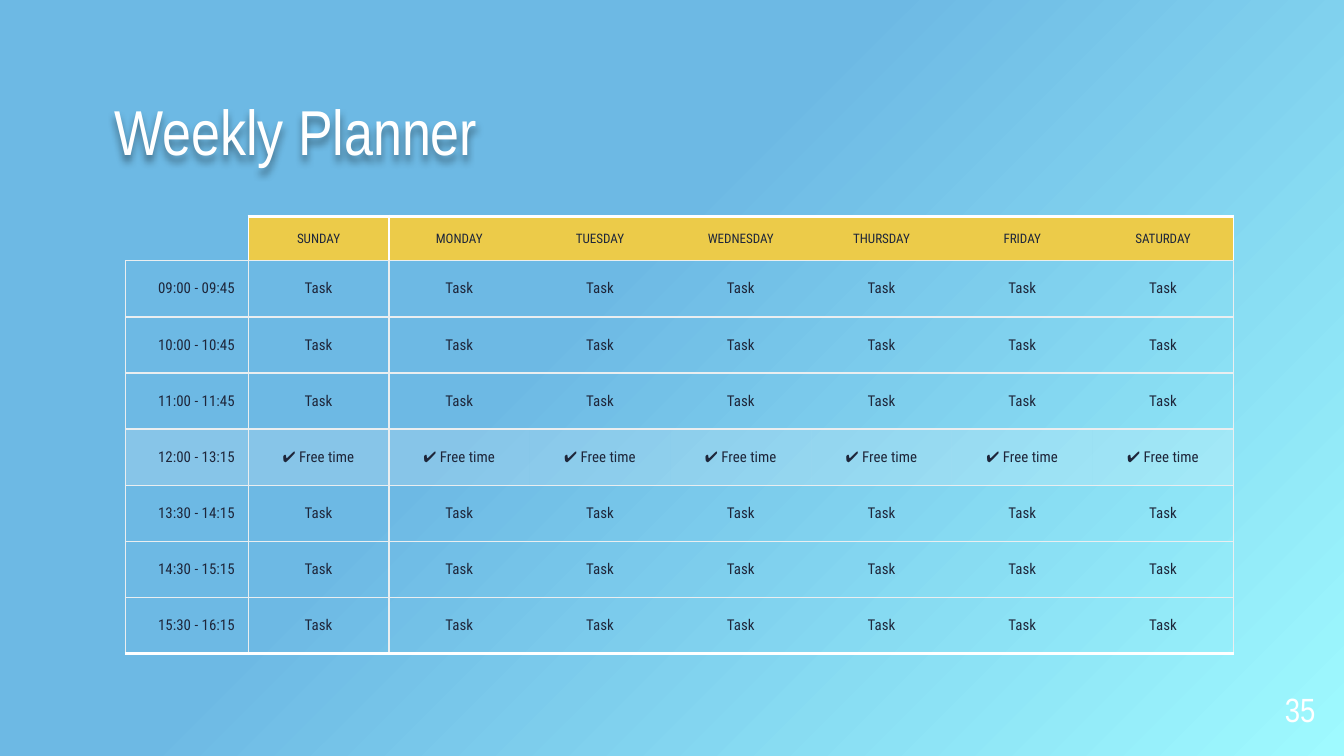
import pptx
import pptx.dml.color
import pptx.enum.text
import pptx.oxml
import pptx.oxml.ns
import pptx.util

Cm = pptx.util.Cm
Align = pptx.enum.text.PP_ALIGN
Anchor = pptx.enum.text.MSO_ANCHOR

WHITE, INK, YELLOW, RULE = "FFFFFF", "1E263A", "ECCB49", "EAEEF0"
DAYS = ["SUNDAY", "MONDAY", "TUESDAY", "WEDNESDAY", "THURSDAY", "FRIDAY", "SATURDAY"]
TIMES = ["09:00 - 09:45", "10:00 - 10:45", "11:00 - 11:45", "12:00 - 13:15",
         "13:30 - 14:15", "14:30 - 15:15", "15:30 - 16:15"]
BREAK_ROW = 4
NO_STYLE = "{2D5ABB26-0587-4C30-8999-92F81FD0307C}"


def color(value):
    return pptx.dml.color.RGBColor.from_string(value)


def xml(tag, body, attributes=""):
    """Parse one element of the p: or a: namespace."""
    spaces = pptx.oxml.ns.nsdecls("a", "p")
    return pptx.oxml.parse_xml(f"<{tag} {spaces} {attributes}>{body}</{tag}>")


def write(frame, text, font="Roboto Condensed", size=8, ink=INK, align=Align.CENTER, spacing=None):
    para = frame.paragraphs[0]
    para.alignment = align
    para.line_spacing = spacing
    para.font.size = pptx.util.Pt(size)
    if text:
        span = para.add_run()
        span.text = text
        span.font.name = font
        span.font.size = pptx.util.Pt(size)
        span.font.color.rgb = color(ink)
    else:
        # Keep an empty cell from stretching its row
        para._p.append(xml("a:endParaRPr", "", f'sz="{size * 100}"'))


class Planner:
    display_font = "Arial Narrow"
    cell_inset = Cm(0.25)

    def __init__(self, deck):
        self.page = deck.slides.add_slide(deck.slide_layouts[6])

    def background(self, stops):
        marks = "".join(f'<a:gs pos="{place * 1000}"><a:srgbClr val="{value}"/></a:gs>'
                        for place, value in stops)
        fill = (f'<a:gradFill rotWithShape="1"><a:gsLst>{marks}</a:gsLst><a:path path="circle">'
                '<a:fillToRect l="100000" t="100000"/></a:path></a:gradFill>')
        back = xml("p:bg", f"<p:bgPr>{fill}<a:effectLst/></p:bgPr>")
        self.page._element.cSld.insert(0, back)

    def label(self, text, left, top, width, height, size, align=Align.LEFT, shadow=False):
        box = self.page.shapes.add_textbox(Cm(left), Cm(top), Cm(width), Cm(height))
        frame = box.text_frame
        frame.word_wrap = True
        frame.vertical_anchor = Anchor.BOTTOM
        frame.margin_left = frame.margin_top = frame.margin_right = frame.margin_bottom = 0
        write(frame, text, self.display_font, size, WHITE, align, 0.9)
        if shadow:
            box._element.spPr.append(xml(
                "a:effectLst",
                '<a:outerShdw blurRad="50800" dist="38100" dir="5400000">'
                '<a:srgbClr val="000000"><a:alpha val="40000"/></a:srgbClr></a:outerShdw>'))

    def table(self, rows, left, top, widths, heights):
        holder = self.page.shapes.add_table(len(rows), len(widths), Cm(left), Cm(top),
                                            Cm(sum(widths)), Cm(sum(heights)))
        table = holder.table
        table.first_row = table.horz_banding = False
        table._tbl.tblPr.find(pptx.oxml.ns.qn("a:tableStyleId")).text = NO_STYLE
        for column, width in zip(table.columns, widths):
            column.width = Cm(width)
        for row, height in zip(table.rows, heights):
            row.height = Cm(height)
        for r, texts in enumerate(rows):
            for c, text in enumerate(texts):
                self.cell(table.cell(r, c), text, r, c, len(rows) - 1, len(texts) - 1)

    def cell(self, cell, text, r, c, last_row, last_column):
        header, side = r == 0, c == 0
        cell.margin_left = cell.margin_right = self.cell_inset
        cell.margin_top = cell.margin_bottom = self.cell_inset
        cell.vertical_anchor = Anchor.MIDDLE
        write(cell.text_frame, text, size=7 if header else 8,
              align=Align.RIGHT if side else Align.CENTER)

        # Fill: yellow header, translucent break row
        if (header and not side) or r == BREAK_ROW:
            cell.fill.solid()
            cell.fill.fore_color.rgb = color(YELLOW if header else WHITE)
        else:
            cell.fill.background()
        properties = cell._tc.tcPr
        if r == BREAK_ROW:
            tone = properties.find(".//" + pptx.oxml.ns.qn("a:srgbClr"))
            tone.append(xml("a:alpha", "", 'val="18000"'))

        # Borders: heavy outer rules, thin row rules, no rules between days
        thin, heavy = (RULE, 0.75), (WHITE, 2.25)
        upright = (WHITE if header else RULE, 0.75)
        corner = header and side
        borders = {
            "L": upright if c == 1 or (side and not header) else None,
            "R": upright if c in (0, last_column) else None,
            "T": None if corner else heavy if header else thin,
            "B": heavy if r == last_row else thin,
        }
        drawn = [(edge, line) for edge, line in borders.items() if line]
        for place, (edge, (value, width)) in enumerate(drawn):
            properties.insert(place, xml(
                f"a:ln{edge}", f'<a:solidFill><a:srgbClr val="{value}"/></a:solidFill>',
                f'w="{int(pptx.util.Pt(width))}"'))


def main():
    deck = pptx.Presentation()
    deck.slide_width, deck.slide_height = Cm(25.4), Cm(14.29)
    planner = Planner(deck)
    planner.background([(0, "9FFAFF"), (58, "6DB9E4"), (100, "6DB9E4")])

    # Title and page number
    planner.label("Weekly Planner", 2.16, 2.11, 21.08, 1.09, 34, shadow=True)
    planner.label("35", 23.34, 12.9, 1.52, 0.89, 18, Align.RIGHT)

    # Timetable
    rows = [[""] + DAYS]
    for r, time in enumerate(TIMES, 1):
        rows.append([time] + ["✔ Free time" if r == BREAK_ROW else "Task"] * len(DAYS))
    planner.table(rows, 2.37, 4.09, [2.32] + [2.66] * len(DAYS), [0.84] + [1.06] * len(TIMES))

    deck.save("out.pptx")


if __name__ == "__main__":
    main()
